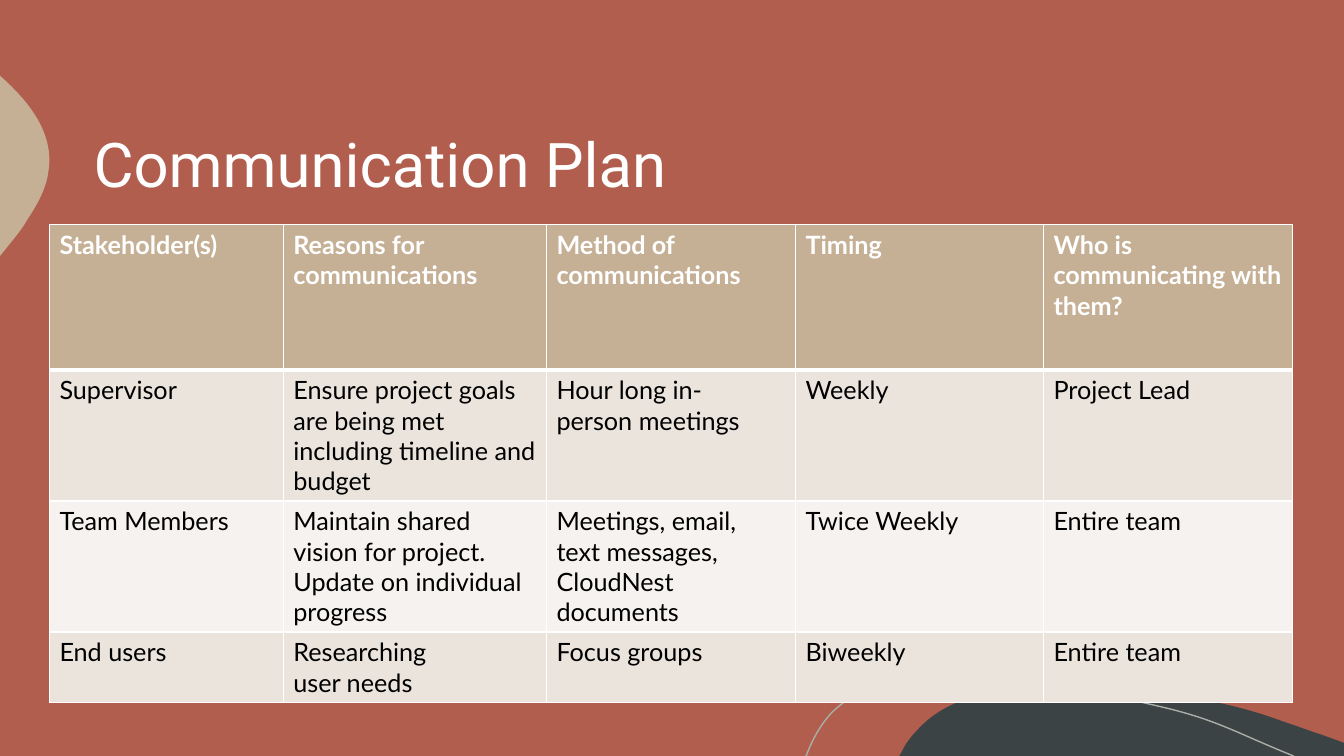
from lxml.etree import SubElement
from pptx import Presentation
from pptx.dml.color import RGBColor
from pptx.enum.text import MSO_ANCHOR
from pptx.oxml.ns import qn
from pptx.util import Inches, Pt


def color(hex_string):
    return RGBColor.from_string(hex_string)


def add_outline(slide, start, segments, close):
    """Draw an outline from end points (2 numbers) and Bezier curves (6 numbers)."""
    builder = slide.shapes.build_freeform(Inches(start[0]), Inches(start[1]))
    builder.add_line_segments([(Inches(segment[-2]), Inches(segment[-1]))
                               for segment in segments], close=close)
    shape = builder.convert_to_shape()
    shape.shadow.inherit = False
    # Turn the lines of six-number segments into curves
    lines = list(shape._element.iter(qn("a:lnTo")))
    for line, segment in zip(lines, segments):
        if len(segment) == 6:
            line.tag = qn("a:cubicBezTo")
            line.remove(line[0])
            for x, y in zip(segment[::2], segment[1::2]):
                SubElement(line, qn("a:pt"), x=str(Inches(x) - shape.left),
                           y=str(Inches(y) - shape.top))
    return shape


presentation = Presentation()
presentation.slide_width = Inches(13.33)
presentation.slide_height = Inches(7.5)
slide = presentation.slides.add_slide(presentation.slide_layouts[6])
slide.background.fill.solid()
slide.background.fill.fore_color.rgb = color("B15E4E")

# Filled blobs at the bottom right and the left edge
blobs = [
    ("3B4345", (10.54, 6.83), [
        (11.28, 6.83, 12.04, 6.9, 12.73, 7.16), (12.86, 7.2, 12.98, 7.25, 13.11, 7.29),
        (13.33, 7.37), (13.33, 7.5), (8.92, 7.5), (8.98, 7.39),
        (9.02, 7.33, 9.06, 7.28, 9.11, 7.23), (9.39, 6.93, 9.82, 6.84, 10.23, 6.83),
        (10.33, 6.83, 10.43, 6.83, 10.54, 6.83)]),
    ("C5B096", (0, 0.75), [
        (0.01, 0.76), (0.3, 1.02, 0.54, 1.33, 0.48, 1.7),
        (0.46, 1.87, 0.37, 2.03, 0.27, 2.18), (0.24, 2.24, 0.17, 2.33, 0.08, 2.44),
        (0, 2.54)]),
]
for fill, start, segments in blobs:
    blob = add_outline(slide, start, segments, close=True)
    blob.fill.solid()
    blob.fill.fore_color.rgb = color(fill)
    blob.line.fill.background()

# Thin curve beside the bottom blob
curve = add_outline(slide, (7.99, 7.5), [
    (8, 7.49), (8.06, 7.33, 8.14, 7.19, 8.24, 7.08), (8.5, 6.81, 8.89, 6.73, 9.26, 6.72),
    (9.55, 6.72), (10.22, 6.72, 11, 6.89, 11.55, 7.02),
    (12.09, 7.15, 12.26, 7.27, 12.83, 7.5)], close=False)
curve.fill.background()
curve.line.color.rgb = color("A9AEA7")
curve.line.width = Pt(1)

# Title
title = slide.shapes.add_textbox(Inches(0.83), Inches(0.83), Inches(11.67), Inches(1.67))
title.text_frame.word_wrap = True
title.text_frame.vertical_anchor = MSO_ANCHOR.MIDDLE
title.text_frame.text = "Communication Plan"
paragraph = title.text_frame.paragraphs[0]
paragraph.line_spacing = 0.9
title_font = paragraph.runs[0].font
title_font.size = Pt(44)
title_font.name = "Roboto"
title_font.color.rgb = color("FFFFFF")

# Communication table
hard_space = chr(160)  # keeps two words on one line
rows = [
    ["Stakeholder(s)", "Reasons for communications", "Method of communications",
     "Timing", "Who is communicating with them?"],
    ["Supervisor", "Ensure project goals are being met including timeline and budget",
     f"Hour long in-person{hard_space}meetings", "Weekly", "Project Lead"],
    ["Team Members", "Maintain shared vision for project. Update on individual progress",
     "Meetings, email, text messages, CloudNest documents", "Twice Weekly", "Entire team"],
    ["End users", f"Researching user{hard_space}needs", "Focus groups", "Biweekly",
     "Entire team"],
]
column_widths = [2.32, 2.61, 2.47, 2.46, 2.47]
row_heights = [1.44, 1.3, 1.3, 0.7]
row_fills = ["C5B096", "EAE4DD", "F5F2EF", "EAE4DD"]

table = slide.shapes.add_table(len(rows), len(column_widths), Inches(0.49), Inches(2.23),
                               Inches(12.33), Inches(4.74)).table
for column, width in zip(table.columns, column_widths):
    column.width = Inches(width)
for row, height in zip(table.rows, row_heights):
    row.height = Inches(height)

for row_index, texts in enumerate(rows):
    is_header = row_index == 0
    for column_index, text in enumerate(texts):
        cell = table.cell(row_index, column_index)
        cell.text_frame.text = text
        font = cell.text_frame.paragraphs[0].runs[0].font
        font.size = Pt(18)
        font.name = "Lato"
        font.bold = is_header
        font.color.rgb = color("FFFFFF" if is_header else "000000")

        # White borders, thicker on both sides of the line below the header
        properties = cell._tc.get_or_add_tcPr()
        for side in ("lnL", "lnR", "lnT", "lnB"):
            thick = (row_index, side) in ((0, "lnB"), (1, "lnT"))
            border = SubElement(properties, qn(f"a:{side}"), w=str(Pt(3 if thick else 1)))
            border_fill = SubElement(border, qn("a:solidFill"))
            SubElement(border_fill, qn("a:srgbClr"), val="FFFFFF")
        cell.fill.solid()
        cell.fill.fore_color.rgb = color(row_fills[row_index])

presentation.save("out.pptx")
